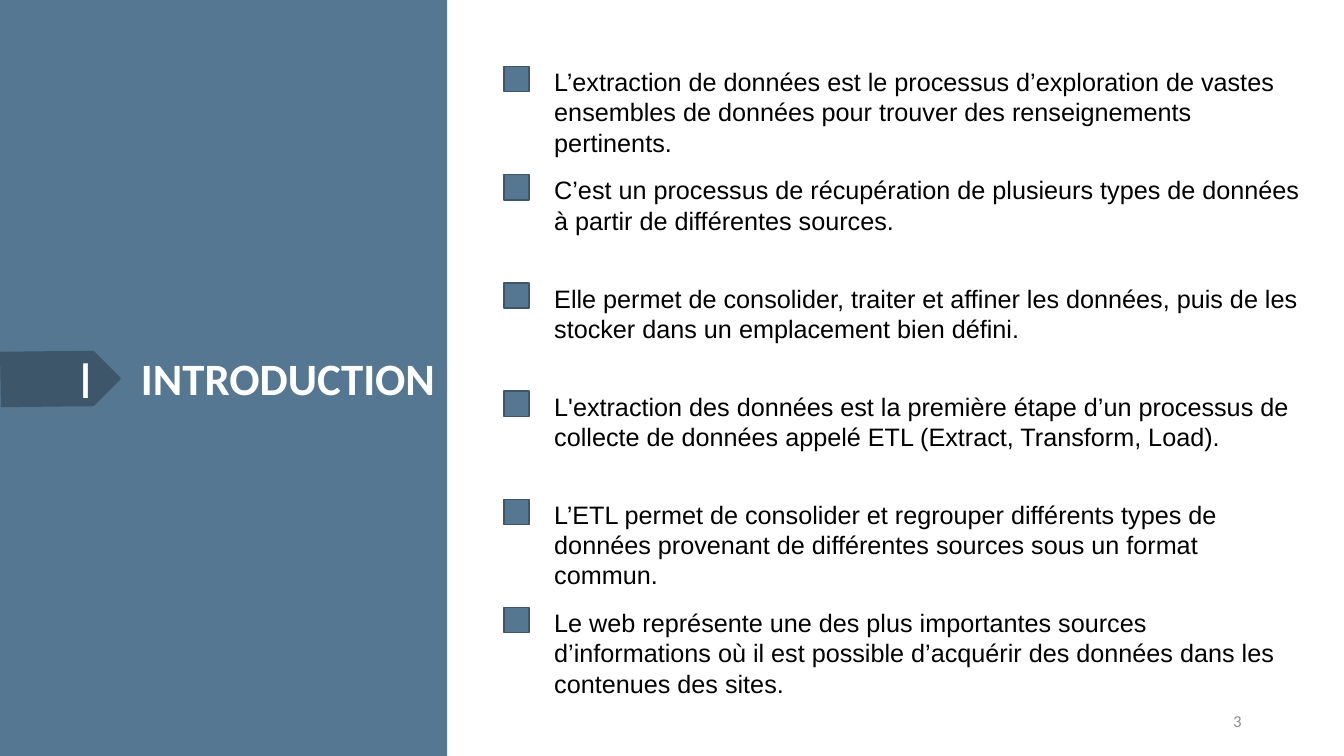
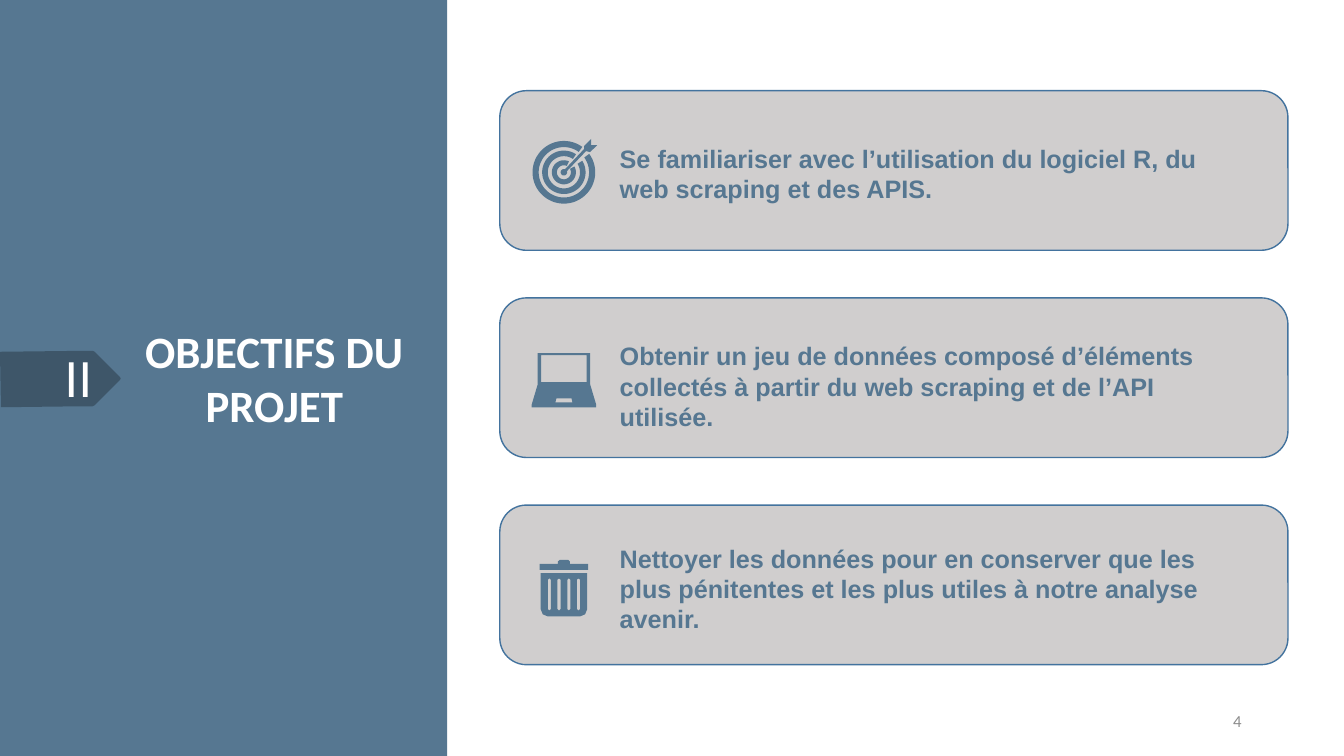
"""Build the introduction and project objectives slides of a web scraping report."""
from math import cos, radians, sin

from pptx import Presentation
from pptx.dml.color import RGBColor
from pptx.enum.shapes import MSO_SHAPE
from pptx.enum.text import MSO_ANCHOR, PP_ALIGN
from pptx.util import Pt

RECTANGLE, ROUNDED = MSO_SHAPE.RECTANGLE, MSO_SHAPE.ROUNDED_RECTANGLE
LEFT, CENTER, RIGHT = PP_ALIGN.LEFT, PP_ALIGN.CENTER, PP_ALIGN.RIGHT
TOP, MIDDLE = MSO_ANCHOR.TOP, MSO_ANCHOR.MIDDLE

THEME = {
    "blue": "567791",
    "dark": "3E5669",
    "card": "D0CECE",
    "card_line": "43739E",
    "title": {"name": "Calibri", "size": Pt(32), "bold": True, "color": "FFFFFF"},
    "numeral": {"name": "Arial", "size": Pt(36), "bold": False, "color": "FFFFFF"},
    "body": {"name": "Arial", "size": Pt(18), "bold": False, "color": "000000"},
    "goal": {"name": "Arial", "size": Pt(18), "bold": True, "color": "567791"},
    "page": {"name": "Calibri", "size": Pt(12), "bold": False, "color": "8C8C8C"},
}


def add_text(slide, text, box, style, align=LEFT, anchor=TOP):
    frame = slide.shapes.add_textbox(*map(Pt, box)).text_frame
    frame.word_wrap = True
    frame.vertical_anchor = anchor
    paragraph = frame.paragraphs[0]
    paragraph.alignment = align
    run = paragraph.add_run()
    run.text = text
    for key, value in THEME[style].items():
        if key == "color":
            run.font.color.rgb = RGBColor.from_string(value)
        else:
            setattr(run.font, key, value)


def add_figure(slide, geometry, box, fill, line=None):
    """Draw a preset in its box, or a list of contours around the origin in box."""
    if isinstance(geometry, list):
        contours = [[(round(x * 100), round(y * 100)) for x, y in contour] for contour in geometry]
        builder = slide.shapes.build_freeform(*contours[0][0], scale=127)
        for contour in contours:
            if contour is not contours[0]:
                builder.move_to(*contour[0])
            builder.add_line_segments(contour[1:], close=True)
        figure = builder.convert_to_shape(*map(Pt, box))
    else:
        figure = slide.shapes.add_shape(geometry, *map(Pt, box))
    figure.shadow.inherit = False
    figure.fill.solid()
    figure.fill.fore_color.rgb = RGBColor.from_string(THEME[fill])
    if line:
        figure.line.color.rgb = RGBColor.from_string(THEME[line])
        figure.line.width = Pt(1)
    else:
        figure.line.fill.background()


tag = [[(0, 251.3), (59, 250.6), (66.2, 250.6), (67.7, 251.3), (85.7, 269.3), (86.2, 270.4),
        (85.7, 271.4), (67.7, 289.4), (66.2, 290.2), (59, 290.2), (0.7, 290.9)]]

target = []
for outer, inner, start, end in [(22.4, 18, 54, 396), (15.5, 11.5, 56, 396), (8.6, 5, 65, 389)]:
    sweep = range(start, end + 1, 6)
    rim = [(outer, angle) for angle in sweep] + [(inner, angle) for angle in reversed(sweep)]
    target.append([(r * cos(radians(a)), -r * sin(radians(a))) for r, a in rim])
hub = [(2.3 * cos(radians(a)), -2.3 * sin(radians(a))) for a in range(20, -291, -10)]
target.append([(14.4, -18.7), (19.4, -23.8), (19.4, -19.4), (23.8, -19.4),
               (18.7, -14.4), (15.8, -15.1), *hub, (14.4, -16.6)])

laptop = [
    [(-18.7, -19.4), (18.7, -19.4), (18.7, 2.9), (23, 17.3),
     (23, 19.4), (-23, 19.4), (-23, 17.3), (-18.7, 2.9)],
    [(-16.2, -18), (16.2, -18), (16.2, 1.4), (-16.2, 1.4)],
    [(-5.4, 13), (5.4, 13), (6.1, 15.8), (-6.1, 15.8)],
]

bin_icon = [
    [(-17.3, -17.3), (-4.3, -17.3), (-4.3, -19), (-3, -20.2), (3, -20.2), (4.3, -19),
     (4.3, -17.3), (17.3, -17.3), (17.3, -13), (-17.3, -13)],
    [(-16.6, -10.8), (16.6, -10.8), (16.6, 15), (15.1, 18.7), (11.5, 20.2),
     (-11.5, 20.2), (-15.1, 18.7), (-16.6, 15)],
]
for slot in (-10.4, -3.5, 3.5, 10.4):
    bin_icon.append([(slot - 1.1, -6), (slot, -7), (slot + 1.1, -6),
                     (slot + 1.1, 15), (slot, 16), (slot - 1.1, 15)])

prs = Presentation()
prs.slide_width, prs.slide_height = Pt(960), Pt(540)
blank = prs.slide_layouts[6]

sections = [
    ("INTRODUCTION", (93.6, 247, 250.6, 46), LEFT, "I", (49, 244.8, 29.5, 51), "3"),
    ("OBJECTIFS DU PROJET", (70.6, 227.5, 250.6, 85), CENTER, "II", (38.9, 244.1, 40.3, 51), "4"),
]
slides = []
for title, title_box, title_align, numeral, numeral_box, page in sections:
    slide = prs.slides.add_slide(blank)
    add_figure(slide, RECTANGLE, (0, 0, 319.5, 540), "blue")
    add_figure(slide, tag, (0, 0), "dark")
    add_text(slide, title, title_box, "title", title_align)
    add_text(slide, numeral, numeral_box, "numeral")
    add_text(slide, page, (678, 500.5, 216, 28.8), "page", RIGHT, MIDDLE)
    slides.append(slide)
introduction, objectives = slides

statements = [
    "L’extraction de données est le processus d’exploration de vastes ensembles de données "
    "pour trouver des renseignements pertinents.",
    "C’est un processus de récupération de plusieurs types de données à partir de "
    "différentes sources.",
    "Elle permet de consolider, traiter et affiner les données, puis de les stocker dans un "
    "emplacement bien défini.",
    "L'extraction des données est la première étape d’un processus de collecte de données "
    "appelé ETL (Extract, Transform, Load).",
    "L’ETL permet de consolider et regrouper différents types de données provenant de "
    "différentes sources sous un format commun.",
    "Le web représente une des plus importantes sources d’informations où il est possible "
    "d’acquérir des données dans les contenues des sites.",
]
for row, statement in enumerate(statements):
    marker_top = 47.5 + 77.3 * row
    add_figure(introduction, RECTANGLE, (360, marker_top, 18, 18), "blue", "dark")
    add_text(introduction, statement, (388.8, marker_top - 3.6, 553, 72.7), "body")

goals = [
    (target, 98.6, "Se familiariser avec l’utilisation du logiciel R, du web scraping et des APIS."),
    (laptop, 239.8, "Obtenir un jeu de données composé d’éléments collectés à partir du web "
                    "scraping et de l’API utilisée."),
    (bin_icon, 384.5, "Nettoyer les données pour en conserver que les plus pénitentes et les plus "
                      "utiles à notre analyse avenir."),
]
for row, (icon, text_top, goal) in enumerate(goals):
    add_figure(objectives, ROUNDED, (357, 64.8 + 148 * row, 563, 114), "card", "card_line")
    add_figure(objectives, icon, (402.8, 123.1 + 148.5 * row), "blue")
    add_text(objectives, goal, (435.6, text_top, 458.6, 72.7), "goal")

prs.save("out.pptx")
